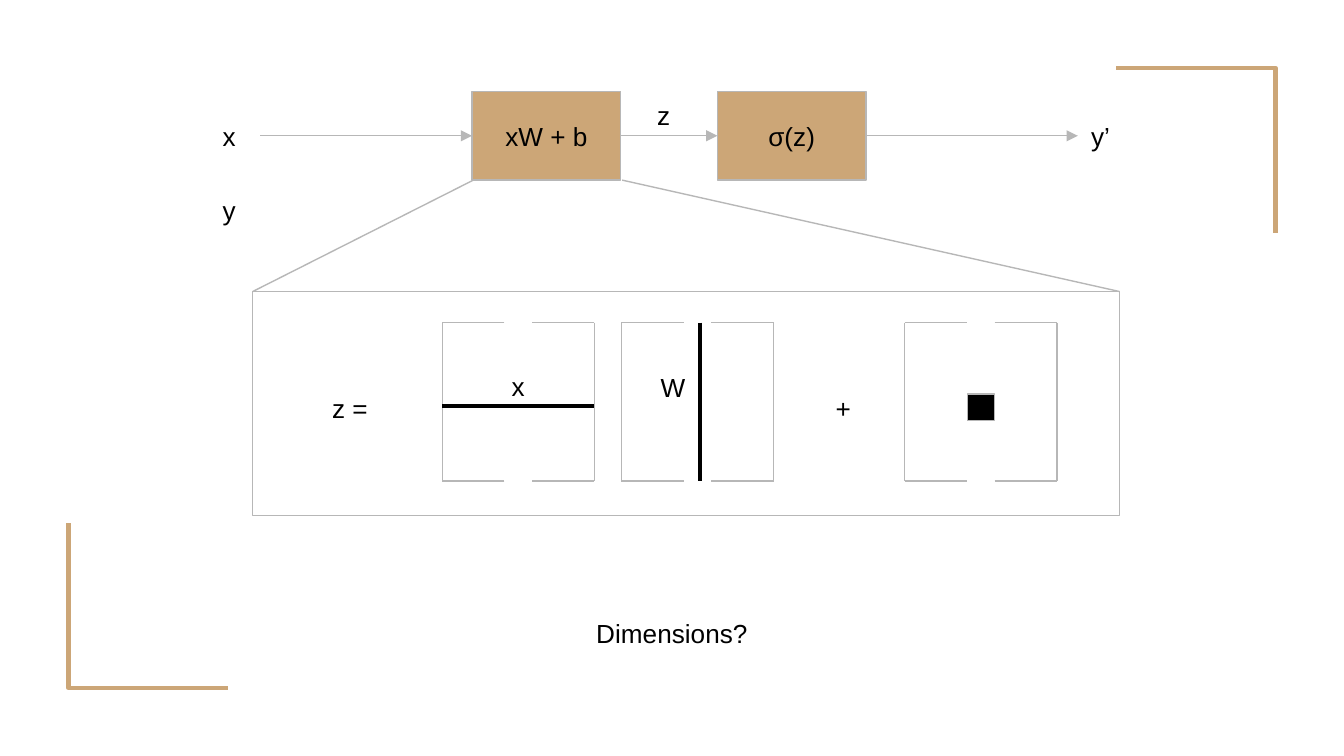
"""Build the slide that opens up a neuron's linear step into its matrix product."""

import dataclasses

import lxml.etree
import pptx
import pptx.dml.color
import pptx.enum.shapes
import pptx.enum.text
import pptx.oxml.ns
import pptx.util

Pt = pptx.util.Pt
RGB = pptx.dml.color.RGBColor
ALIGN = pptx.enum.text.PP_ALIGN


@dataclasses.dataclass(frozen=True)
class Theme:
    """Hold the colours, type and line widths of the slide."""

    tan: RGB = RGB.from_string("CCA677")
    grey: RGB = RGB.from_string("B7B7B7")
    black: RGB = RGB.from_string("000000")
    font: str = "Arial"
    size: float = 14
    thin: float = 0.75
    thick: float = 2.25


THEME = Theme()
SLIDE_WIDTH, SLIDE_HEIGHT = 720, 405
FLOW_TOP, BOX_WIDTH, BOX_HEIGHT = 49, 79.7, 47.5
FLOW_MIDDLE = FLOW_TOP + BOX_HEIGHT / 2
FLOW_BOTTOM = FLOW_TOP + BOX_HEIGHT
LINEAR_LEFT, SIGMA_LEFT = 252.9, 384.3
LABEL_WIDTH = 27.4
PANEL_LEFT, PANEL_TOP, PANEL_WIDTH, PANEL_HEIGHT = 135.4, 156.2, 464.4, 120.2
MATRIX_TOP, MATRIX_WIDTH, MATRIX_HEIGHT, MATRIX_ARM = 172.8, 81.5, 85, 33.3
MATRIX_BOTTOM = MATRIX_TOP + MATRIX_HEIGHT
INPUT_LEFT, WEIGHT_LEFT, BIAS_LEFT = 236.9, 332.9, 484.7
TERM_HEIGHT = 31.7


def style_line(line, color, width):
    """Give an outline its colour and width."""
    line.color.rgb = color
    line.width = Pt(width)


def write_text(shape, text, align):
    """Write one vertically centred paragraph into a shape."""
    frame = shape.text_frame
    frame.text = text
    frame.word_wrap = True
    frame.vertical_anchor = pptx.enum.text.MSO_ANCHOR.MIDDLE
    frame.margin_left = frame.margin_right = Pt(7.2)
    frame.margin_top = frame.margin_bottom = Pt(7.2)
    para = frame.paragraphs[0]
    para.alignment = align
    font = para.runs[0].font
    font.name = THEME.font
    font.size = Pt(THEME.size)
    font.color.rgb = THEME.black


def add_label(slide, text, left, top, width=LABEL_WIDTH, height=BOX_HEIGHT, align=ALIGN.LEFT):
    """Add a free-standing text label."""
    box = slide.shapes.add_textbox(Pt(left), Pt(top), Pt(width), Pt(height))
    write_text(box, text, align)


def add_term(slide, text, left, top):
    """Add a centred term of the matrix equation."""
    add_label(slide, text, left, top, MATRIX_WIDTH, TERM_HEIGHT, ALIGN.CENTER)


def add_box(slide, left, top, width, height, fill=None, text=None):
    """Add a grey-outlined rectangle, optionally filled and captioned."""
    box = slide.shapes.add_shape(
        pptx.enum.shapes.MSO_SHAPE.RECTANGLE, Pt(left), Pt(top), Pt(width), Pt(height)
    )
    box.shadow.inherit = False
    style_line(box.line, THEME.grey, THEME.thin)
    if fill is None:
        box.fill.background()
    else:
        box.fill.solid()
        box.fill.fore_color.rgb = fill
    if text:
        write_text(box, text, ALIGN.CENTER)


def add_line(slide, start, end, color=THEME.grey, width=THEME.thin, arrow=False):
    """Add a straight line, optionally with an arrowhead at its end."""
    line = slide.shapes.add_connector(
        pptx.enum.shapes.MSO_CONNECTOR.STRAIGHT, *(Pt(value) for value in (*start, *end))
    )
    style_line(line.line, color, width)
    qualify = pptx.oxml.ns.qn
    if arrow:
        outline = line.line._get_or_add_ln()
        lxml.etree.SubElement(outline, qualify("a:tailEnd"), type="triangle")
    lxml.etree.SubElement(line._element.spPr, qualify("a:effectLst"))


def add_corner(slide, points):
    """Add an open decorative corner through the given points."""
    start, *rest = [(Pt(x), Pt(y)) for x, y in points]
    builder = slide.shapes.build_freeform(*start)
    builder.add_line_segments(rest, close=False)
    corner = builder.convert_to_shape()
    corner.shadow.inherit = False
    corner.fill.background()
    style_line(corner.line, THEME.tan, THEME.thick)


def add_brackets(slide, left):
    """Add the facing square brackets of one matrix."""
    for edge, inward in ((left, 1), (left + MATRIX_WIDTH, -1)):
        tip = edge + inward * MATRIX_ARM
        add_line(slide, (edge, MATRIX_TOP), (edge, MATRIX_BOTTOM))
        for level in (MATRIX_TOP, MATRIX_BOTTOM):
            add_line(slide, (tip, level), (edge, level))


def add_flow(slide):
    """Add the pipeline from input to prediction."""
    add_box(slide, LINEAR_LEFT, FLOW_TOP, BOX_WIDTH, BOX_HEIGHT, THEME.tan, "xW + b")
    add_box(slide, SIGMA_LEFT, FLOW_TOP, BOX_WIDTH, BOX_HEIGHT, THEME.tan, "σ(z)")
    for start, end in (
        (139.5, LINEAR_LEFT),
        (LINEAR_LEFT + BOX_WIDTH, SIGMA_LEFT),
        (SIGMA_LEFT + BOX_WIDTH, 577.4),
    ):
        add_line(slide, (start, FLOW_MIDDLE), (end, FLOW_MIDDLE), arrow=True)
    for text, left, top in (
        ("x", 112.2, FLOW_TOP),
        ("y", 112.2, 88.6),
        ("z", 344.9, 38),
        ("y’", 577.4, FLOW_TOP),
    ):
        add_label(slide, text, left, top)


def add_equation(slide):
    """Add the panel that shows the linear step as matrices."""
    add_box(slide, PANEL_LEFT, PANEL_TOP, PANEL_WIDTH, PANEL_HEIGHT)
    add_line(slide, (PANEL_LEFT, PANEL_TOP), (LINEAR_LEFT + 0.7, FLOW_BOTTOM))
    add_line(
        slide,
        (LINEAR_LEFT + BOX_WIDTH + 0.7, FLOW_BOTTOM),
        (PANEL_LEFT + PANEL_WIDTH, PANEL_TOP),
    )
    for left in (INPUT_LEFT, WEIGHT_LEFT, BIAS_LEFT):
        add_brackets(slide, left)
    for text, left, top in (
        ("z =", 146.7, 203),
        ("x", INPUT_LEFT, 191),
        ("W", 319.8, 191.3),
        ("+", 411, 203),
    ):
        add_term(slide, text, left, top)
    row, column = 217.5, 374.8
    add_line(slide, (INPUT_LEFT, row), (INPUT_LEFT + MATRIX_WIDTH, row), THEME.black, THEME.thick)
    add_line(slide, (column, MATRIX_TOP), (column, MATRIX_BOTTOM), THEME.black, THEME.thick)
    add_box(slide, 518.3, 211, 14.4, 14.4, THEME.black)


def main():
    """Build and save the deck."""
    deck = pptx.Presentation()
    deck.slide_width, deck.slide_height = Pt(SLIDE_WIDTH), Pt(SLIDE_HEIGHT)
    slide = deck.slides.add_slide(deck.slide_layouts[6])
    corner = [(683.3, 124.8), (683.3, 36.4), (598, 36.4)]
    add_corner(slide, corner)
    add_corner(slide, [(SLIDE_WIDTH - x, SLIDE_HEIGHT - y) for x, y in corner])
    add_flow(slide)
    add_equation(slide)
    add_label(slide, "Dimensions?", 280.8, 315.5, 158.4, align=ALIGN.CENTER)
    deck.save("out.pptx")


if __name__ == "__main__":
    main()
